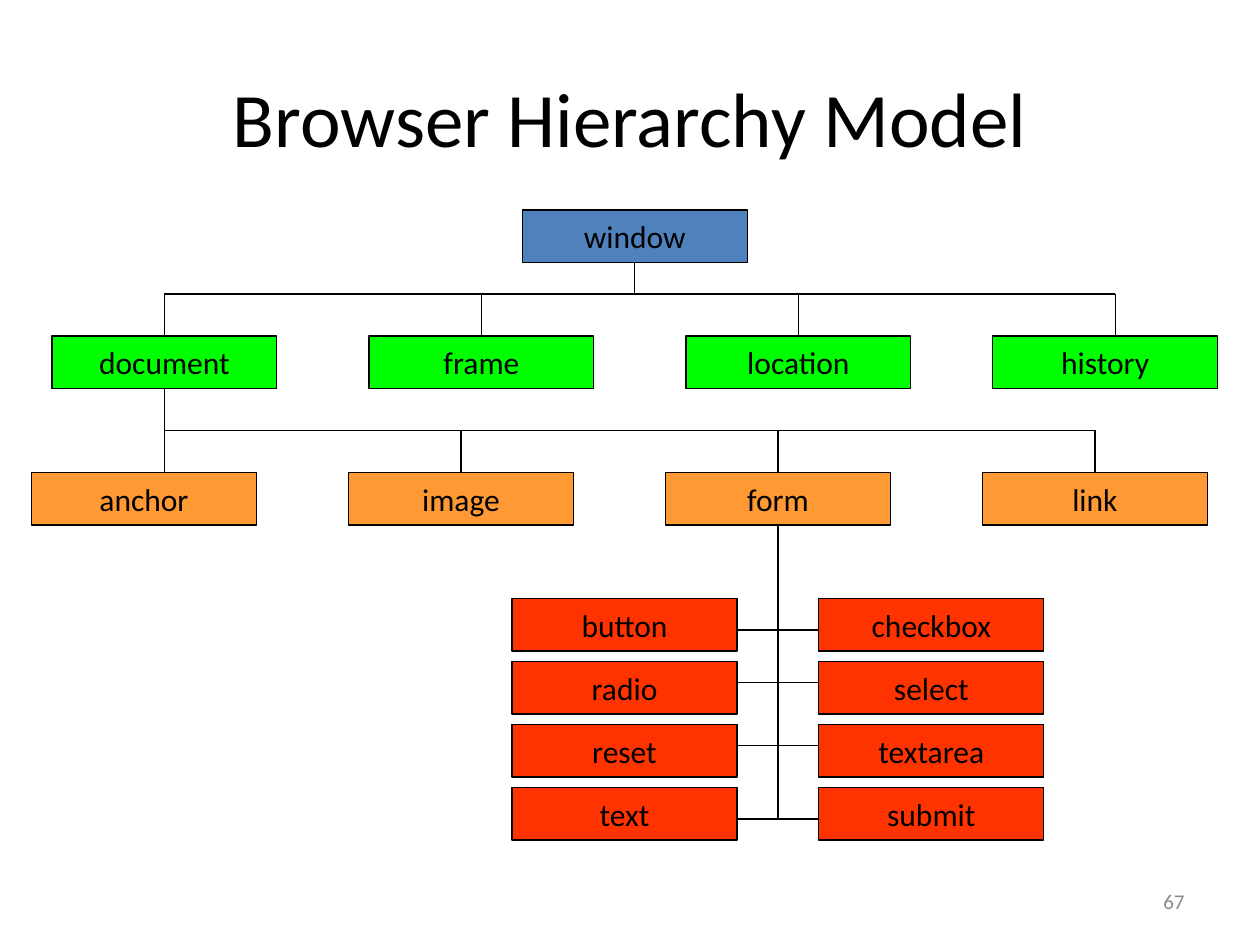
from dataclasses import dataclass
from pptx import Presentation
from pptx.dml.color import RGBColor
from pptx.enum.shapes import MSO_CONNECTOR, MSO_SHAPE
from pptx.enum.text import MSO_ANCHOR, PP_ALIGN
from pptx.oxml.ns import qn
from pptx.util import Inches, Pt
from lxml.etree import SubElement


@dataclass(frozen=True)
class Theme:
    font: str = "Calibri"
    ink: str = "000000"
    muted: str = "8C8C8C"
    root: str = "4F81BD"
    child: str = "00FF00"
    element: str = "FF9933"
    control: str = "FF3300"
    title_size: int = 44
    box_size: int = 18
    number_size: int = 12
    line_width: float = 0.75


theme = Theme()
margin = Inches(0.25)
column_unit = Inches(8.44) / 104
row_unit = Inches(1) / 12
box_columns, box_rows = 22, 5
column_step, row_step = 31, 6

deck = Presentation()
deck.slide_width, deck.slide_height = Inches(10), Inches(7.5)
page = deck.slides.add_slide(deck.slide_layouts[5])


def write(frame, words, size, color, alignment):
    frame.vertical_anchor = MSO_ANCHOR.MIDDLE
    para = frame.paragraphs[0]
    para.alignment = alignment
    span = para.add_run()
    span.text = words
    span.font.name = theme.font
    span.font.size = Pt(size)
    span.font.color.rgb = RGBColor.from_string(color)


def connect(column1, row1, column2, row2):
    line = page.shapes.add_connector(
        MSO_CONNECTOR.STRAIGHT,
        round(margin + column1 * column_unit), round(row1 * row_unit),
        round(margin + column2 * column_unit), round(row2 * row_unit))
    line.line.color.rgb = RGBColor.from_string(theme.ink)
    line.line.width = Pt(theme.line_width)
    SubElement(line._element.spPr, qn("a:effectLst"))


number = page.shapes.add_textbox(Inches(7.17), Inches(6.95), Inches(2.33), Inches(0.4))
number.text_frame.word_wrap = True
write(number.text_frame, "67", theme.number_size, theme.muted, PP_ALIGN.RIGHT)

title = page.shapes.title
title.left, title.top = Inches(0.5), Inches(0.3)
title.width, title.height = Inches(9), Inches(1.25)
write(title.text_frame, "Browser Hierarchy Model", theme.title_size, theme.ink, PP_ALIGN.CENTER)

nodes = [("window", 48, 20, theme.root)]
nodes += [(name, column, 32, theme.child) for name, column in (
    ("document", 2), ("frame", 33), ("location", 64), ("history", 94))]
elements = enumerate(("anchor", "image", "form", "link"))
nodes += [(name, index * column_step, 45, theme.element) for index, name in elements]
controls = {
    47: ("button", "radio", "reset", "text"),
    77: ("checkbox", "select", "textarea", "submit"),
}
for column, names in controls.items():
    nodes += [(name, column, 57 + index * row_step, theme.control) for index, name in enumerate(names)]

for name, column, row, color in nodes:
    box = page.shapes.add_shape(
        MSO_SHAPE.RECTANGLE,
        round(margin + column * column_unit), round(row * row_unit),
        round(box_columns * column_unit), round(box_rows * row_unit))
    box.shadow.inherit = False
    box.fill.solid()
    box.fill.fore_color.rgb = RGBColor.from_string(color)
    box.line.color.rgb = RGBColor.from_string(theme.ink)
    box.line.width = Pt(theme.line_width)
    box.text_frame.word_wrap = False
    write(box.text_frame, name, theme.box_size, theme.ink, PP_ALIGN.CENTER)

connect(59, 25, 59, 28)
connect(13, 28, 106, 28)
for column in range(13, 107, column_step):
    connect(column, 28, column, 32)

connect(13, 41, 104, 41)
connect(13, 37, 13, 45)
for column in range(42, 105, column_step):
    connect(column, 41, column, 45)

connect(73, 50, 73, 78)
for row in (60, 65, 71, 78):
    connect(69, row, 77, row)

deck.save("out.pptx")
